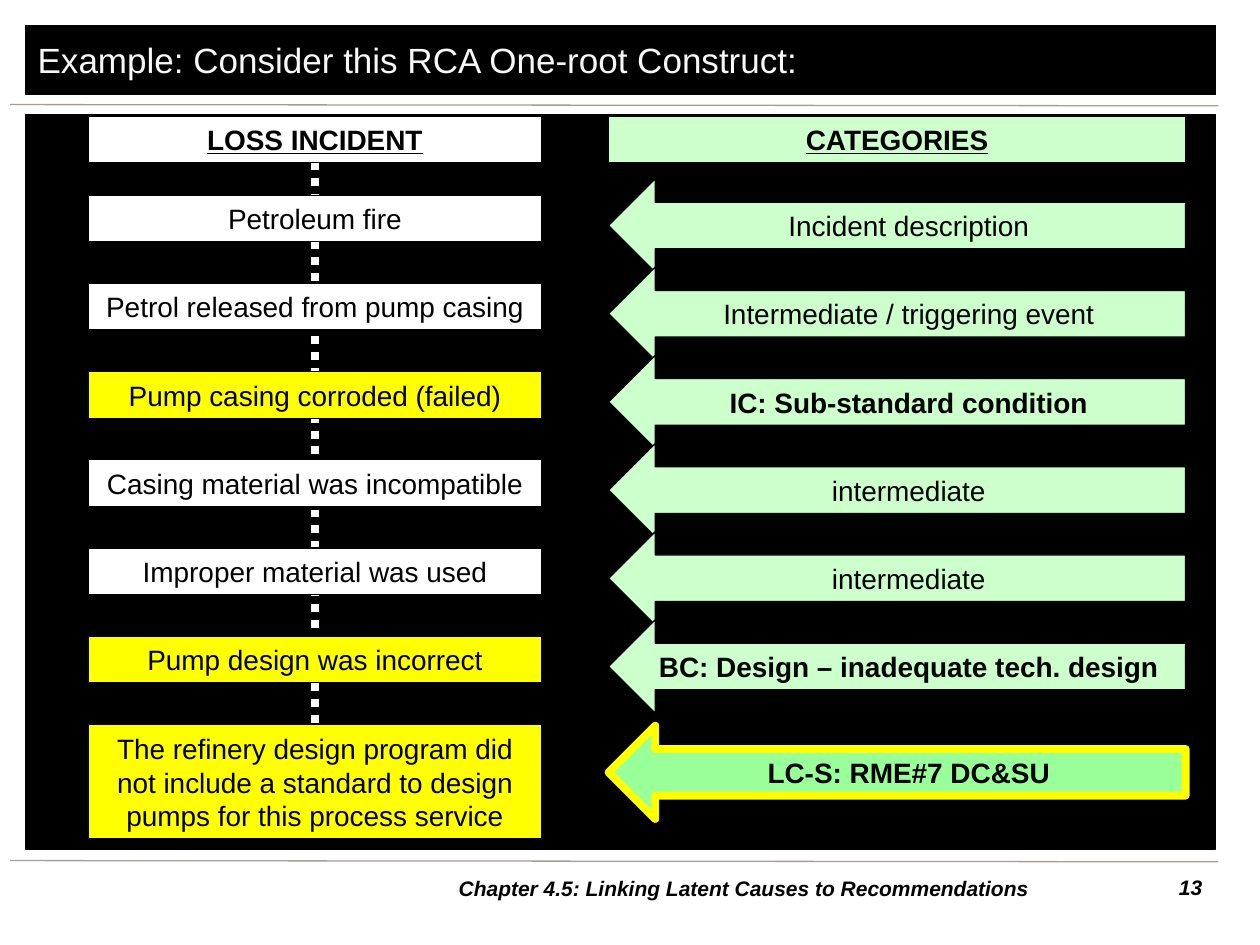
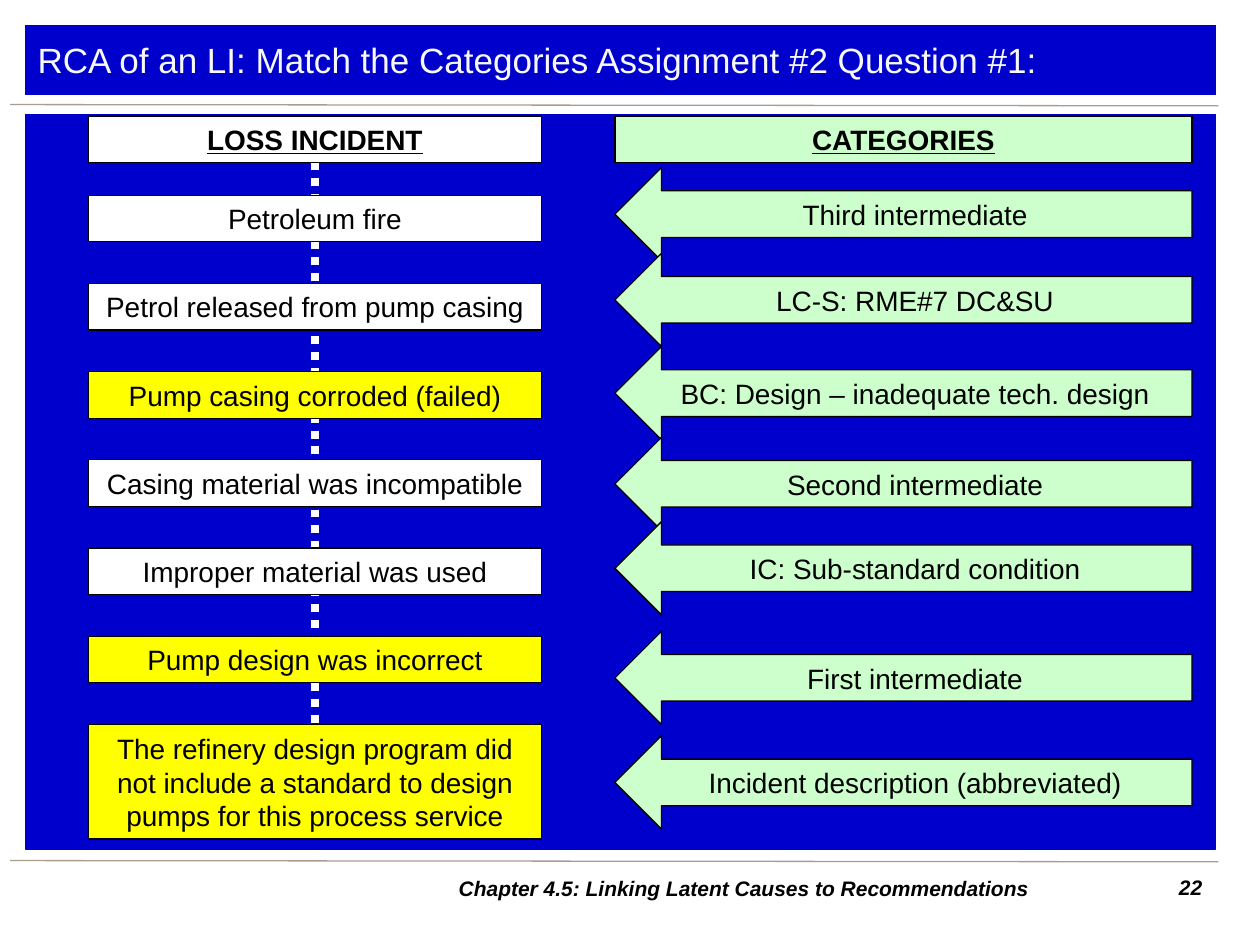
import pptx
import pptx.util
import pptx.dml.color
import pptx.enum.dml
import pptx.enum.shapes
import pptx.enum.text
from lxml import etree

Inches = pptx.util.Inches
Pt = pptx.util.Pt
SHAPE = pptx.enum.shapes.MSO_SHAPE
ALIGN = pptx.enum.text.PP_ALIGN
ANCHOR = pptx.enum.text.MSO_ANCHOR

# Content
COLORS = {
    "black": "000000", "blue": "0000CC", "white": "FFFFFF", "title": "F8F8F8",
    "yellow": "FFFF00", "mint": "CCFFCC", "green": "99FF99", "rule": "AA9C8F",
}
FONT = "Arial"
CHAPTER = "Chapter 4.5: Linking Latent Causes to Recommendations"

# Event text, fill
EVENTS = [
    ("Petroleum fire", "white"),
    ("Petrol released from pump casing", "white"),
    ("Pump casing corroded (failed)", "yellow"),
    ("Casing material was incompatible", "white"),
    ("Improper material was used", "white"),
    ("Pump design was incorrect", "yellow"),
    ("The refinery design program did not include a standard to design "
     "pumps for this process service", "yellow"),
]

# Each category: top of the arrow, label, then its style
PLAIN = {"fill": "mint"}
BOLD = {"fill": "mint", "bold": True}
LATENT = {"fill": "green", "bold": True, "outline": "yellow", "weight": 4.5}
SLIDES = [
    {
        "title": "Example: Consider this RCA One-root Construct:",
        "number": "13", "theme": "black", "category_left": 4.83,
        "categories": [
            (1.42, "Incident description", PLAIN),
            (2.12, "Intermediate / triggering event", PLAIN),
            (2.82, "IC: Sub-standard condition", BOLD),
            (3.52, "intermediate", PLAIN),
            (4.22, "intermediate", PLAIN),
            (4.92, "BC: Design – inadequate tech. design", BOLD),
            (5.76, "LC-S: RME#7 DC&SU", LATENT),
        ],
    },
    {
        "title": "RCA of an LI: Match the Categories Assignment #2 Question #1:",
        "number": "22", "theme": "blue", "category_left": 4.88,
        "categories": [
            (1.33, "Third intermediate", PLAIN),
            (2.01, "LC-S: RME#7 DC&SU", PLAIN),
            (2.75, "BC: Design – inadequate tech. design", PLAIN),
            (3.47, "Second intermediate", PLAIN),
            (4.14, "IC: Sub-standard condition", PLAIN),
            (5.01, "First intermediate", PLAIN),
            (5.84, "Incident description (abbreviated)", PLAIN),
        ],
    },
]

# Layout, in inches
BAND_LEFT, BAND_WIDTH = 0.2, 9.45
HEADER_TOP, ROW_HEIGHT = 0.92, 0.37
EVENT_LEFT, EVENT_WIDTH = 0.7, 3.6
EVENT_TOP, EVENT_PITCH, LAST_EVENT_HEIGHT = 1.55, 0.7, 0.91
CATEGORY_WIDTH, ARROW_HEIGHT = 4.58, 2 * ROW_HEIGHT


def rgb(name):
    return pptx.dml.color.RGBColor.from_string(COLORS[name])


def write(box, text, size=16, color="black", align=ALIGN.CENTER,
          anchor=ANCHOR.MIDDLE, bold=False, italic=False, underline=False):
    frame = box.text_frame
    frame.word_wrap = True
    frame.vertical_anchor = anchor
    paragraph = frame.paragraphs[0]
    paragraph.text = text
    paragraph.alignment = align
    font = paragraph.font
    font.name, font.size = FONT, Pt(size)
    font.bold, font.italic, font.underline = bold, italic, underline
    font.color.rgb = rgb(color)


def add_block(slide, kind, place, fill, text="", outline="black", weight=0.75,
              **style):
    block = slide.shapes.add_shape(kind, *map(Inches, place))
    block.shadow.inherit = False
    block.fill.solid()
    block.fill.fore_color.rgb = rgb(fill)
    block.line.color.rgb = rgb(outline)
    block.line.width = Pt(weight)
    if text:
        write(block, text, **style)
    return block


def add_line(slide, start, end, color, weight):
    line = slide.shapes.add_connector(
        pptx.enum.shapes.MSO_CONNECTOR.STRAIGHT, *map(Inches, start + end))
    line.line.color.rgb = rgb(color)
    line.line.width = Pt(weight)
    etree.SubElement(line.element.spPr, pptx.oxml.ns.qn("a:effectLst"))
    return line


def add_label(slide, place, text, **style):
    label = slide.shapes.add_textbox(*map(Inches, place))
    write(label, text, size=12, bold=True, italic=True, **style)


def add_frame(slide, title, number, theme):
    """Rules, title band, content panel and footer."""
    for top in (0.83, 6.83):
        add_line(slide, (0.08, top), (9.67, top + 0.01), "rule", 0.75)
    add_block(slide, SHAPE.RECTANGLE, (BAND_LEFT, 0.2, BAND_WIDTH, 0.55), theme,
              title, outline=theme, size=20, color="title", align=ALIGN.LEFT)
    add_block(slide, SHAPE.RECTANGLE, (BAND_LEFT, 0.91, BAND_WIDTH, 5.83),
              theme, outline=theme)
    add_label(slide, (9.06, 6.89, 0.58, 0.31), number,
              align=ALIGN.RIGHT, anchor=ANCHOR.TOP)
    add_label(slide, (2.95, 6.89, 5.91, 0.31), CHAPTER)


def add_header(slide, left, width, fill, text):
    return add_block(slide, SHAPE.RECTANGLE, (left, HEADER_TOP, width, ROW_HEIGHT),
                     fill, text, bold=True, underline=True)


def add_events(slide):
    """Chain of events on a dotted line running behind the boxes."""
    middle = EVENT_LEFT + EVENT_WIDTH / 2
    last_top = EVENT_TOP + EVENT_PITCH * (len(EVENTS) - 1)
    chain = add_line(slide, (middle, HEADER_TOP + ROW_HEIGHT),
                     (middle, last_top), "white", 4.5)
    chain.line.dash_style = pptx.enum.dml.MSO_LINE.ROUND_DOT
    for row, (text, fill) in enumerate(EVENTS):
        last = row == len(EVENTS) - 1
        height = LAST_EVENT_HEIGHT if last else ROW_HEIGHT
        top = EVENT_TOP + row * EVENT_PITCH
        event = add_block(slide, SHAPE.RECTANGLE,
                          (EVENT_LEFT, top, EVENT_WIDTH, height), fill, text)
    header = add_header(slide, EVENT_LEFT, EVENT_WIDTH, "white", "LOSS INCIDENT")
    chain.begin_connect(header, 2)
    chain.end_connect(event, 0)


def add_categories(slide, left, categories):
    for top, text, style in categories:
        add_block(slide, SHAPE.LEFT_ARROW,
                  (left, top, CATEGORY_WIDTH, ARROW_HEIGHT), text=text, **style)
    add_header(slide, left, CATEGORY_WIDTH, "mint", "CATEGORIES")


def main():
    deck = pptx.Presentation()
    deck.slide_width, deck.slide_height = Inches(10), Inches(7.5)
    for page in SLIDES:
        slide = deck.slides.add_slide(deck.slide_layouts[6])
        add_frame(slide, page["title"], page["number"], page["theme"])
        add_events(slide)
        add_categories(slide, page["category_left"], page["categories"])
    deck.save("out.pptx")


if __name__ == "__main__":
    main()
